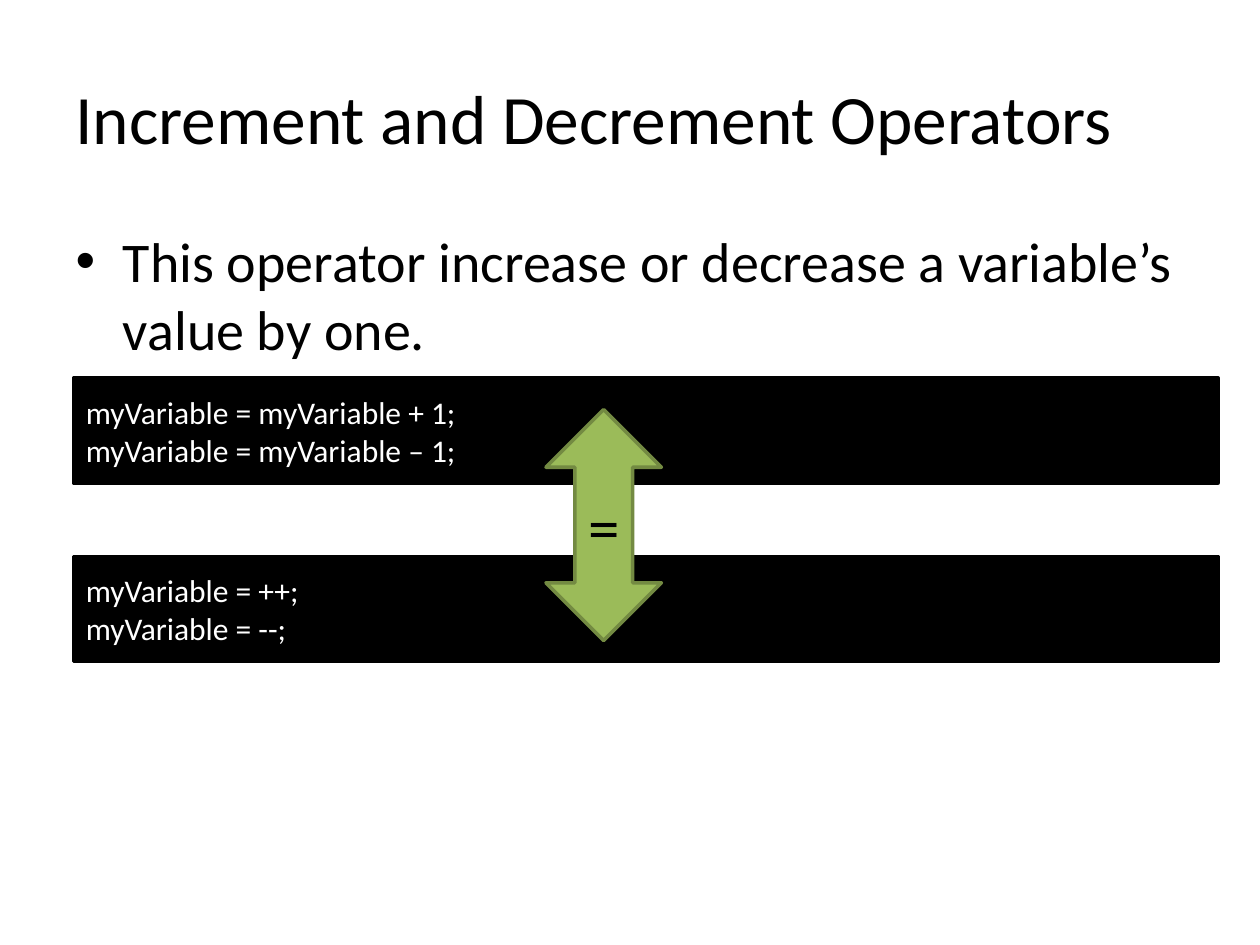
from dataclasses import dataclass

from pptx import Presentation
from pptx.dml.color import RGBColor
from pptx.enum.shapes import MSO_SHAPE
from pptx.enum.text import MSO_ANCHOR, MSO_AUTO_SIZE, PP_ALIGN
from pptx.util import Inches, Pt

RECTANGLE = MSO_SHAPE.RECTANGLE
DOUBLE_ARROW = MSO_SHAPE.UP_DOWN_ARROW
TOP, MIDDLE = MSO_ANCHOR.TOP, MSO_ANCHOR.MIDDLE
LEFT, CENTER = PP_ALIGN.LEFT, PP_ALIGN.CENTER
NO_AUTOFIT = MSO_AUTO_SIZE.NONE


@dataclass(frozen=True)
class Theme:
    font: str = "Calibri"
    black: str = "000000"
    white: str = "FFFFFF"
    green: str = "9BBB59"
    dark_green: str = "738A42"
    title_size: float = 39.6
    body_size: float = 32
    code_size: float = 18
    symbol_size: float = 36
    outline: float = 2


theme = Theme()
deck = Presentation()
deck.slide_width, deck.slide_height = Inches(10), Inches(7.5)
COLUMN = deck.slide_width / 120
ROW = deck.slide_height / 90


def place(box, column, row, columns, rows, fill=None, line=None):
    box.left, box.top = round(column * COLUMN), round(row * ROW)
    box.width, box.height = round(columns * COLUMN), round(rows * ROW)
    if fill:
        box.shadow.inherit = False
        box.fill.solid()
        box.fill.fore_color.rgb = RGBColor.from_string(fill)
        box.line.color.rgb = RGBColor.from_string(line)
        box.line.width = Pt(theme.outline)


def write(box, text, size, color=theme.black, align=LEFT, anchor=MIDDLE):
    frame = box.text_frame
    frame.text = text
    frame.word_wrap = True
    frame.auto_size = NO_AUTOFIT
    frame.vertical_anchor = anchor
    for para in frame.paragraphs:
        para.alignment = align
        for span in para.runs:
            span.font.name = theme.font
            span.font.size = Pt(size)
            span.font.color.rgb = RGBColor.from_string(color)


page = deck.slides.add_slide(deck.slide_layouts[1])

title = page.shapes.title
place(title, 6, 3.6, 108, 15)
write(title, "Increment and Decrement Operators", theme.title_size)

body = page.placeholders[1]
place(body, 6, 21, 108, 59.4)
write(body, "This operator increase or decrease a variable’s value by one.",
      theme.body_size, anchor=TOP)

code_blocks = [
    (36, "myVariable = myVariable + 1;\nmyVariable = myVariable – 1;"),
    (53, "myVariable = ++;\nmyVariable = --;"),
]
for row, code in code_blocks:
    block = page.shapes.add_shape(RECTANGLE, 0, 0, 0, 0)
    place(block, 7, row, 109, 10, fill=theme.black, line=theme.black)
    write(block, code, theme.code_size, color=theme.white)

arrow = page.shapes.add_shape(DOUBLE_ARROW, 0, 0, 0, 0)
place(arrow, 52, 39, 11, 22, fill=theme.green, line=theme.dark_green)
write(arrow, "=", theme.symbol_size, align=CENTER)

deck.save("out.pptx")
